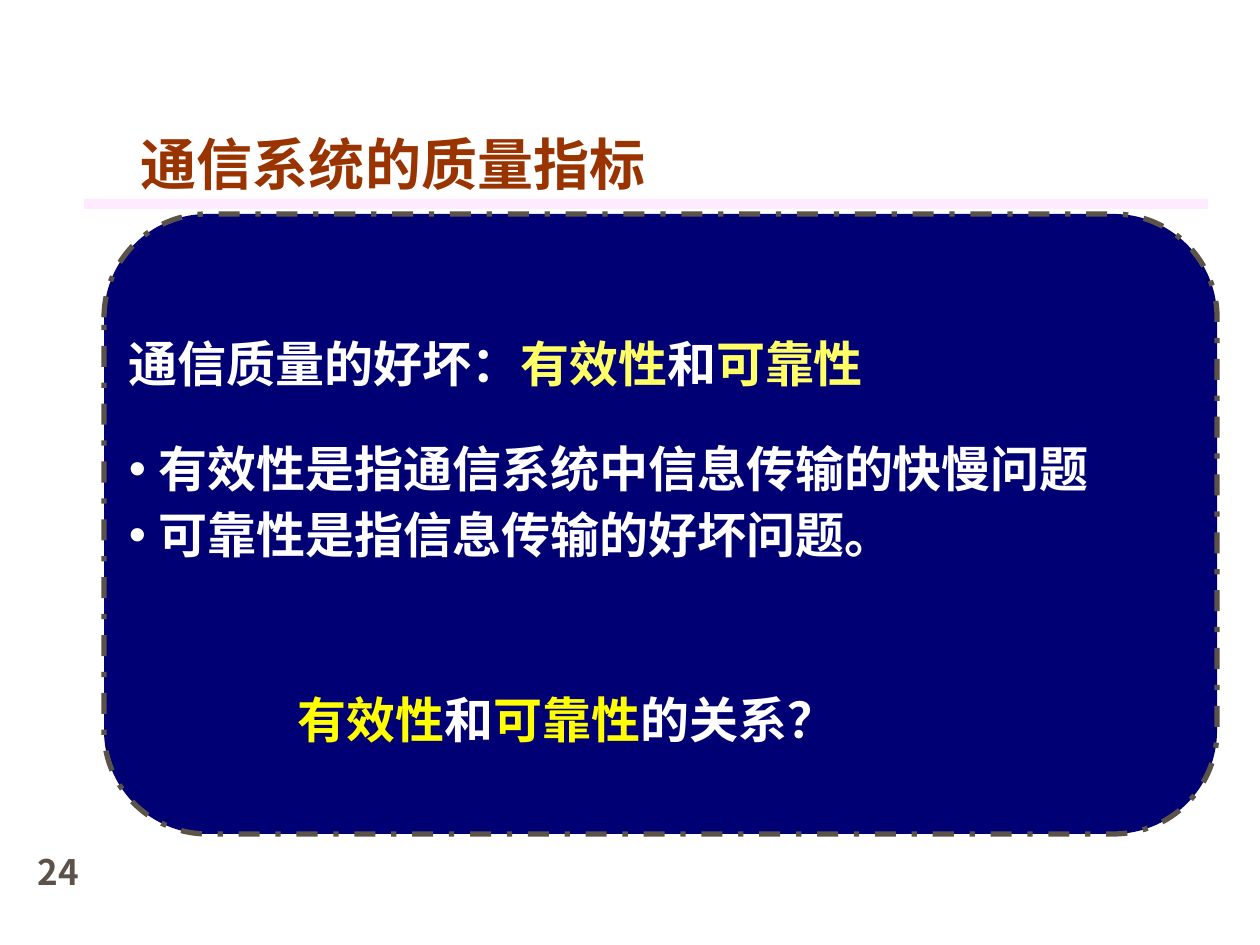
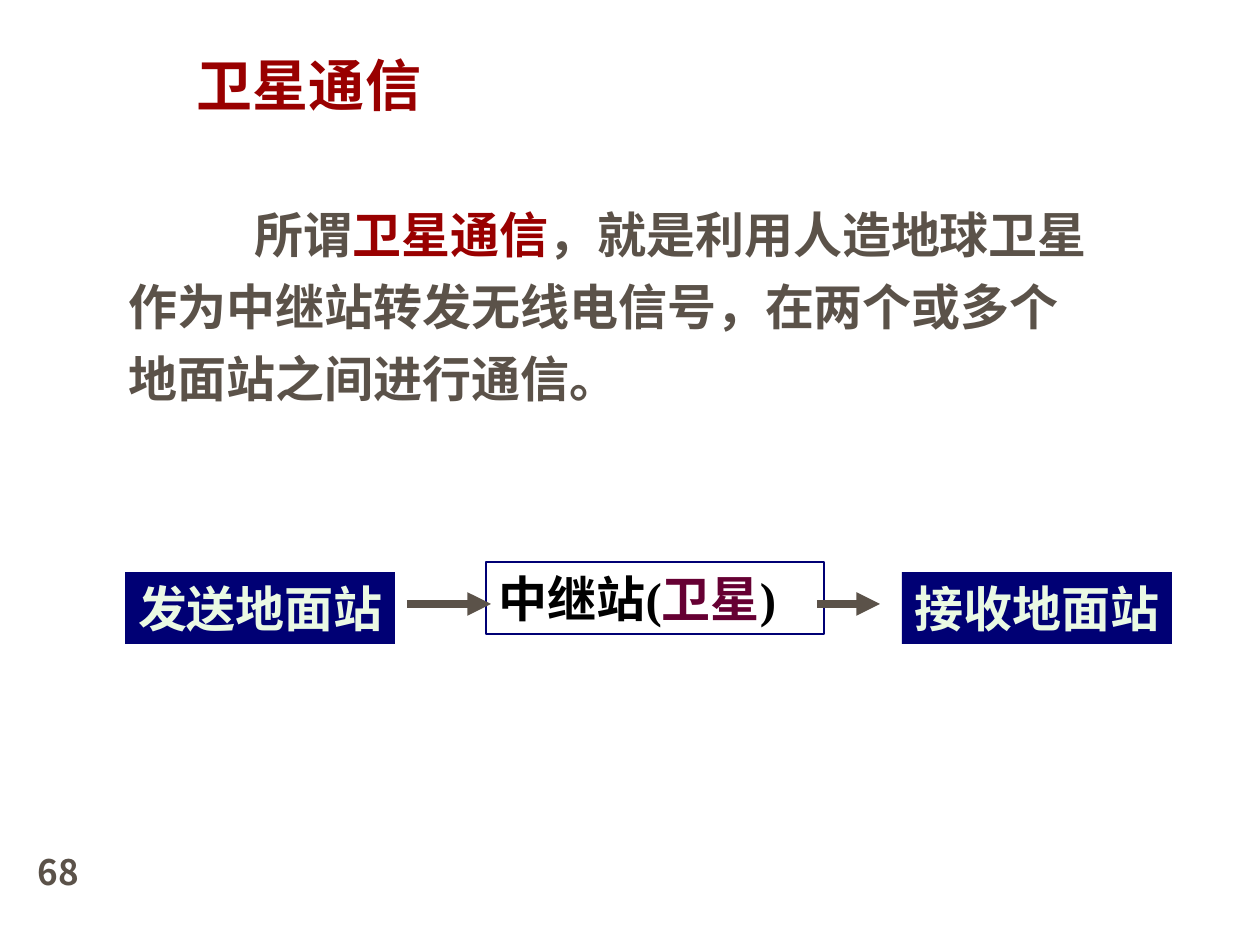
from dataclasses import dataclass

from lxml import etree
from pptx import Presentation
from pptx.dml.color import RGBColor
from pptx.enum.dml import MSO_LINE
from pptx.enum.shapes import MSO_CONNECTOR, MSO_SHAPE
from pptx.enum.text import MSO_ANCHOR, MSO_AUTO_SIZE, PP_ALIGN
from pptx.oxml.ns import qn
from pptx.util import Pt

RECT, PANEL = MSO_SHAPE.RECTANGLE, MSO_SHAPE.FLOWCHART_ALTERNATE_PROCESS
TOP, MIDDLE, BOTTOM = MSO_ANCHOR.TOP, MSO_ANCHOR.MIDDLE, MSO_ANCHOR.BOTTOM
LEFT, NO_FIT = PP_ALIGN.LEFT, MSO_AUTO_SIZE.NONE
STRAIGHT, DASH_DOT = MSO_CONNECTOR.STRAIGHT, MSO_LINE.DASH_DOT


@dataclass(frozen=True)
class Theme:
    cjk: str = "Noto Sans CJK SC"
    latin: str = "Times New Roman"
    navy: str = "000074"
    grey: str = "5B5249"
    band: str = "FFEBFF"
    white: str = "FFFFFF"
    black: str = "000000"
    pale_yellow: str = "FFFF66"
    yellow: str = "FFFF00"
    mint: str = "EAF9E3"
    plum: str = "660033"
    rust: str = "993300"
    red: str = "990000"
    title_size: int = 32
    text_size: int = 28
    number_size: int = 20


T = Theme()
INSET = 13

# Content: a paragraph is a list of (text, colour) runs
QUALITY_TITLE = [("通信系统的质量指标", T.rust)]
QUALITY_LEAD = [("通信质量的好坏：", T.white), ("有效性", T.pale_yellow),
                ("和", T.white), ("可靠性", T.pale_yellow)]
QUALITY_POINTS = [
    [("有效性是指通信系统中信息传输的快慢问题", T.white)],
    [("可靠性是指信息传输的好坏问题。", T.white)],
]
QUALITY_QUESTION = [("有效性", T.yellow), ("和", T.white),
                    ("可靠性", T.yellow), ("的关系？", T.white)]

SATELLITE_TITLE = [("卫星通信", T.red)]
SATELLITE_TEXT = [
    ("所谓", T.grey), ("卫星通信", T.red),
    ("，就是利用人造地球卫星作为中继站转发无线电信号，在两个或多个地面站之间进行通信。", T.grey),
]
# Stations: left, top, width, fill, line, runs
STATIONS = [
    (125, 572, 270, T.navy, None, [("发送地面站", T.mint)]),
    (486, 562, 338, None, T.navy, [("中继站(", T.black), ("卫星", T.plum), (")", T.black)]),
    (902, 572, 270, T.navy, None, [("接收地面站", T.mint)]),
]
STATION_HEIGHT = 72
ARROWS = [(407, 491), (817, 880)]
ARROW_Y = 604

prs = Presentation()


def px(n):
    return round(n * 914400 / 126)


prs.slide_width, prs.slide_height = px(1260), px(945)


def rgb(colour):
    return RGBColor.from_string(colour)


def place(sp, left, top, width, height):
    sp.left, sp.top, sp.width, sp.height = px(left), px(top), px(width), px(height)


def frame(sp, anchor, left=INSET, top=0, bottom=0, wrap=True):
    tf = sp.text_frame
    tf.auto_size, tf.word_wrap, tf.vertical_anchor = NO_FIT, wrap, anchor
    tf.margin_left, tf.margin_right = px(left), px(INSET)
    tf.margin_top, tf.margin_bottom = px(top), px(bottom)
    return tf


def write(p, runs, size=T.text_size, latin=T.latin, bullet=None, margin=0,
          indent=0, before=0, line=None):
    pPr = p._p.get_or_add_pPr()
    pPr.set("marL", str(px(margin)))
    pPr.set("indent", str(px(indent)))
    if bullet:
        etree.SubElement(pPr, qn("a:buChar")).set("char", bullet)
    else:
        etree.SubElement(pPr, qn("a:buNone"))
    p.alignment, p.space_before = LEFT, Pt(before)
    if line:
        p.line_spacing = Pt(line)
    for text, colour in runs:
        r = p.add_run()
        r.text = text
        f = r.font
        f.size, f.bold, f.name = Pt(size), True, latin
        f.color.rgb = rgb(colour)
        ea = etree.Element(qn("a:ea"), typeface=T.cjk)
        r._r.rPr.find(qn("a:latin")).addnext(ea)


def add_box(s, kind, at, fill=None, line=None, width=0.75):
    sp = s.shapes.add_shape(kind, *map(px, at))
    sp.shadow.inherit = False
    if fill:
        sp.fill.solid()
        sp.fill.fore_color.rgb = rgb(fill)
    else:
        sp.fill.background()
    if line:
        sp.line.color.rgb, sp.line.width = rgb(line), Pt(width)
    else:
        sp.line.fill.background()
    return sp


def add_arrow(s, start, end, y):
    c = s.shapes.add_connector(STRAIGHT, px(start), px(y), px(end), px(y))
    c.line.color.rgb, c.line.width = rgb(T.grey), Pt(4.5)
    etree.SubElement(c.line._get_or_add_ln(), qn("a:tailEnd")).set("type", "triangle")
    etree.SubElement(c._element.spPr, qn("a:effectLst"))


def new_slide(title, at, number, title_inset=INSET):
    """Add a slide with its title and page number."""
    s = prs.slides.add_slide(prs.slide_layouts[1])
    place(s.shapes.title, *at)
    tf = frame(s.shapes.title, BOTTOM, left=title_inset, bottom=2)
    write(tf.paragraphs[0], title, T.title_size, T.cjk)
    sp = s.shapes.add_textbox(px(25), px(849), px(69), px(63))
    write(frame(sp, TOP, top=2).paragraphs[0], [(str(number), T.grey)],
          T.number_size, T.cjk)
    return s


def quality_slide():
    s = new_slide(QUALITY_TITLE, (116, 105, 766, 94), 24, title_inset=25)
    # Panel and title band
    panel = add_box(s, PANEL, (104, 214, 1113, 620), T.navy, T.grey, 3)
    panel.line.dash_style = DASH_DOT
    add_box(s, RECT, (84, 199, 1124, 10), T.band)
    # Definitions, brought in front of the panel
    body = s.placeholders[1]
    s.shapes._spTree.append(body._element)
    place(body, 116, 325, 1018, 242)
    body.fill.solid()
    body.fill.fore_color.rgb = rgb(T.navy)
    tf = frame(body, TOP, top=10)
    write(tf.paragraphs[0], QUALITY_LEAD, line=33)
    for runs, before in zip(QUALITY_POINTS, (27, 4.7)):
        write(tf.add_paragraph(), runs, latin=T.cjk, bullet="•", margin=30,
              indent=-30, before=before, line=33)
    # Closing question
    sp = s.shapes.add_textbox(px(285), px(683), px(563), px(72))
    write(frame(sp, MIDDLE, wrap=False).paragraphs[0], QUALITY_QUESTION)


def satellite_slide():
    s = new_slide(SATELLITE_TITLE, (184, 26, 536, 94), 68)
    # Definition
    body = s.placeholders[1]
    place(body, 116, 175, 999, 234)
    tf = frame(body, TOP, top=17)
    write(tf.paragraphs[0], SATELLITE_TEXT, indent=126, line=41)
    # Signal chain
    for left, top, width, fill, line, runs in STATIONS:
        sp = add_box(s, RECT, (left, top, width, STATION_HEIGHT), fill, line)
        write(frame(sp, MIDDLE, wrap=False).paragraphs[0], runs)
    for start, end in ARROWS:
        add_arrow(s, start, end, ARROW_Y)


def main():
    quality_slide()
    satellite_slide()
    prs.save("out.pptx")


if __name__ == "__main__":
    main()
